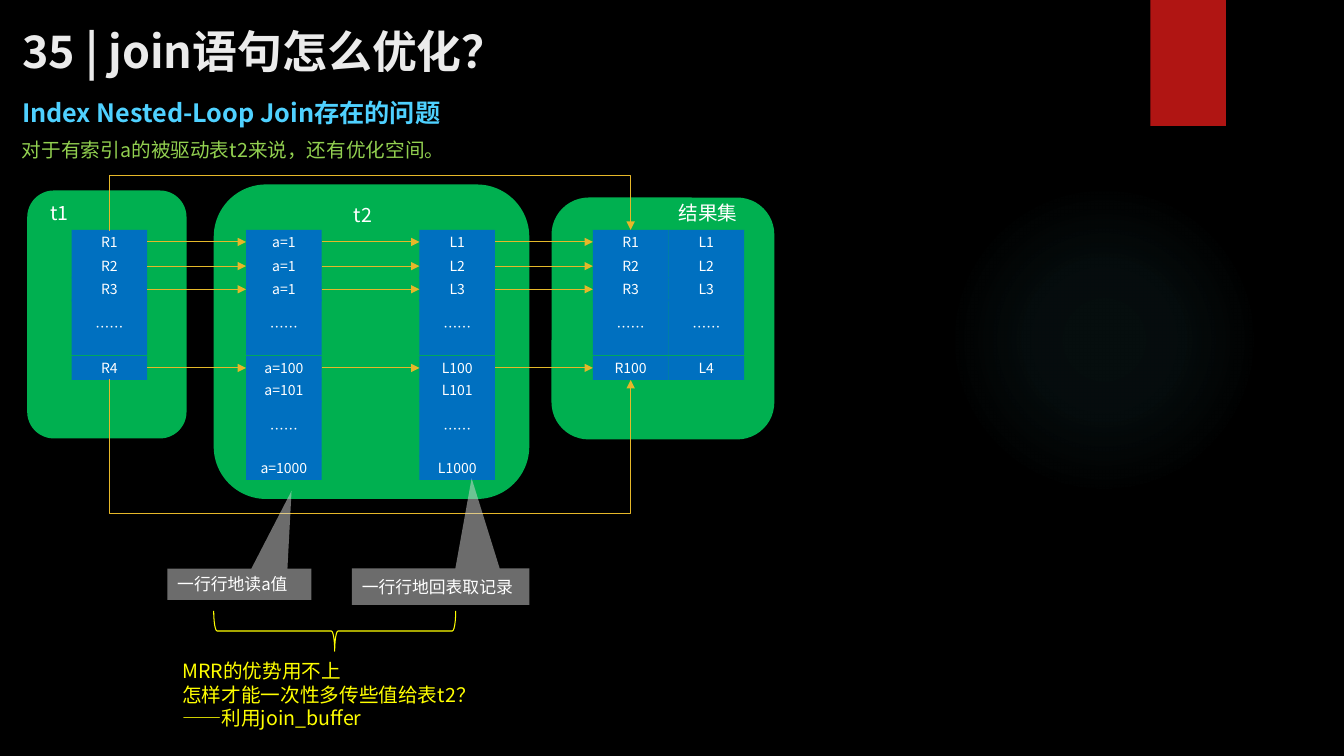
from dataclasses import dataclass

from pptx import Presentation
from pptx.dml.color import RGBColor
from pptx.enum.shapes import MSO_CONNECTOR as Line, MSO_SHAPE as Shape
from pptx.enum.text import MSO_ANCHOR as Anchor, PP_ALIGN as Align
from pptx.oxml import parse_xml
from pptx.oxml.ns import nsdecls, qn
from pptx.util import Emu, Inches, Pt

FONT = "Noto Sans CJK SC"
COLORS = {
    "black": "000000", "title": "EBEBEB", "cyan": "4FD1FF", "lime": "92D050",
    "green": "00B050", "blue": "0070C0", "white": "FFFFFF", "gold": "E6B729",
    "grey": "D9D9D9", "yellow": "FFFF00", "red": "B01513", "glow": "50B9C1",
}

# The slide is a grid of 1333 columns by 750 rows
UNIT = Inches(0.01)
CELL_W, CELL_H, GAP_H = 75, 24, 55
COLS = [71, 244, 416, 588, 588 + CELL_W]
ROWS = [228, 252, 275, 297, 353, 375, 398, 452]
LINKED_ROWS = [0, 1, 2, 4]
DOTS = "……"


@dataclass
class Box:
    x: float
    y: float
    w: float
    h: float


@dataclass
class Label:
    box: Box
    lines: list[str]
    size: int
    color: str
    bold: bool = False
    anchor: Anchor = Anchor.TOP


@dataclass
class Callout:
    box: Box
    text: str
    tip: tuple[float, float]


@dataclass
class Bus:
    start: float
    end: float
    level: float


LABELS = [
    Label(Box(12, 17, 1219, 66), ["35 | join语句怎么优化？"], 32, "title", True, Anchor.MIDDLE),
    Label(Box(12, 92, 732, 40), ["Index Nested-Loop Join存在的问题"], 18, "cyan", True),
    Label(Box(12, 132, 1297, 34), ["对于有索引a的被驱动表t2来说，还有优化空间。"], 14, "lime"),
    Label(Box(40, 194, 56, 34), ["t1"], 14, "white"),
    Label(Box(341, 196, 56, 34), ["t2"], 14, "white"),
    Label(Box(663, 194, 185, 34), ["结果集"], 14, "white"),
    Label(Box(171, 649, 356, 81),
          ["MRR的优势用不上", "怎样才能一次性多传些值给表t2？", "——利用join_buffer"], 14, "yellow"),
]
PANELS = [Box(547, 196, 221, 240), Box(212, 183, 313, 312), Box(27, 189, 158, 246)]
CELLS = [
    ["R1", "R2", "R3", DOTS, "R4"],
    ["a=1", "a=1", "a=1", DOTS, "a=100", "a=101", DOTS, "a=1000"],
    ["L1", "L2", "L3", DOTS, "L100", "L101", DOTS, "L1000"],
    ["R1", "R2", "R3", DOTS, "R100"],
    ["L1", "L2", "L3", DOTS, "L4"],
]
CALLOUTS = [
    Callout(Box(166, 564, 143, 31), "一行行地读a值", (0.362, -2.989)),
    Callout(Box(349, 564, 176, 36), "一行行地回表取记录", (0.175, -2.989)),
]
BUSES = [Bus(376, 377, 512), Bus(229, 228, 173)]


def rgb(name: str) -> RGBColor:
    return RGBColor.from_string(COLORS[name])


def place(*units: float) -> list[Emu]:
    return [Emu(round(u * UNIT)) for u in units]


def write(tf, lines: list[str], size: int, color: str, bold: bool = False, align=Align.LEFT) -> None:
    tf.word_wrap = True
    tf.text = "\n".join(lines)
    for p in tf.paragraphs:
        p.alignment = align
        for r in p.runs:
            f = r.font
            f.size, f.bold, f.name = Pt(size), bold, FONT
            f.color.rgb = rgb(color)
            r._r.get_or_add_rPr().append(parse_xml(f'<a:ea {nsdecls("a")} typeface="{FONT}"/>'))


def add_label(s, label: Label) -> None:
    b = label.box
    tf = s.shapes.add_textbox(*place(b.x, b.y, b.w, b.h)).text_frame
    write(tf, label.lines, label.size, label.color, label.bold)
    tf.vertical_anchor = label.anchor


def add_box(s, kind: Shape, b: Box, color: str | None, alpha: int = 100):
    sp = s.shapes.add_shape(kind, *place(b.x, b.y, b.w, b.h))
    sp.shadow.inherit = False
    sp.line.fill.background()
    if color is None:
        sp.fill.background()
        return sp
    sp.fill.solid()
    sp.fill.fore_color.rgb = rgb(color)
    if alpha < 100:
        clr = sp._element.spPr.find(qn("a:solidFill"))[0]
        clr.append(parse_xml(f'<a:alpha {nsdecls("a")} val="{alpha * 1000}"/>'))
    return sp


def add_glow(s, b: Box) -> None:
    sp = add_box(s, Shape.OVAL, b, "glow")
    stops = "".join(
        f'<a:gs pos="{pos}000"><a:srgbClr val="{COLORS["glow"]}"><a:alpha val="{a}000"/></a:srgbClr></a:gs>'
        for pos, a in [(0, 7), (36, 6), (69, 0), (100, 0)])
    grad = parse_xml(
        f'<a:gradFill {nsdecls("a")}><a:gsLst>{stops}</a:gsLst><a:path path="circle">'
        '<a:fillToRect l="50000" t="50000" r="50000" b="50000"/></a:path></a:gradFill>')
    spPr = sp._element.spPr
    spPr.replace(spPr.find(qn("a:solidFill")), grad)


def add_arrow(s, kind: Line, x1: float, y1: float, x2: float, y2: float):
    c = s.shapes.add_connector(kind, *place(x1, y1, x2, y2))
    c.line.color.rgb, c.line.width = rgb("gold"), Pt(0.75)
    c.line._get_or_add_ln().append(parse_xml(f'<a:tailEnd {nsdecls("a")} type="triangle"/>'))
    c._element.spPr.append(parse_xml(f'<a:effectLst {nsdecls("a")}/>'))
    return c


def add_bus(s, bus: Bus) -> None:
    """U-shaped arrow from the t1 column to the result column, drawn as a turned elbow."""
    left, right = COLS[0] + CELL_W / 2, COLS[3] + CELL_W / 2
    cx, cy = (left + right) / 2, (bus.start + bus.end) / 2
    w, h = abs(bus.end - bus.start), right - left
    below = bus.level > bus.start
    y1, y2 = (cy - h / 2, cy + h / 2) if below else (cy + h / 2, cy - h / 2)
    c = add_arrow(s, Line.ELBOW, cx + w / 2, y1, cx - w / 2, y2)
    spPr = c._element.spPr
    spPr.find(qn("a:xfrm")).set("rot", str((270 if below else 90) * 60000))
    bend = round(abs(bus.level - bus.start) / w * 100000)
    geom = spPr.find(qn("a:prstGeom"))
    geom.find(qn("a:avLst")).append(
        parse_xml(f'<a:gd {nsdecls("a")} name="adj1" fmla="val {bend}"/>'))


def main() -> None:
    prs = Presentation()
    prs.slide_width, prs.slide_height = Inches(13.33), Inches(7.5)
    s = prs.slides.add_slide(prs.slide_layouts[6])
    s.background.fill.solid()
    s.background.fill.fore_color.rgb = rgb("black")

    # Decoration and table panels
    add_glow(s, Box(941, 183, 308, 308))
    add_box(s, Shape.RECTANGLE, Box(1141, 0, 75, 125), "red")
    for panel in PANELS:
        add_box(s, Shape.ROUNDED_RECTANGLE, panel, "green")

    # Table cells
    for x, column in zip(COLS, CELLS):
        for y, text in zip(ROWS, column):
            h = GAP_H if text == DOTS else CELL_H
            sp = add_box(s, Shape.RECTANGLE, Box(x, y, CELL_W, h), "blue")
            write(sp.text_frame, [text], 10, "white", align=Align.CENTER)
            sp.text_frame.vertical_anchor = Anchor.MIDDLE

    # Arrows between neighbouring columns, then around the tables
    for x, next_x in zip(COLS[:3], COLS[1:4]):
        for row in LINKED_ROWS:
            y = ROWS[row] + CELL_H / 2
            add_arrow(s, Line.STRAIGHT, x + CELL_W, y, next_x, y)
    for bus in BUSES:
        add_bus(s, bus)

    # Callouts, brace and text
    for note in CALLOUTS:
        sp = add_box(s, Shape.RECTANGULAR_CALLOUT, note.box, "grey", 50)
        sp.adjustments[0], sp.adjustments[1] = note.tip
        write(sp.text_frame, [note.text], 12, "white")
        sp.text_frame.vertical_anchor = Anchor.MIDDLE
    brace = add_box(s, Shape.LEFT_BRACE, Box(312, 506, 40, 240), None)
    brace.rotation = 270
    brace.line.color.rgb, brace.line.width = rgb("yellow"), Pt(0.75)
    for label in LABELS:
        add_label(s, label)

    prs.save("out.pptx")


if __name__ == "__main__":
    main()
